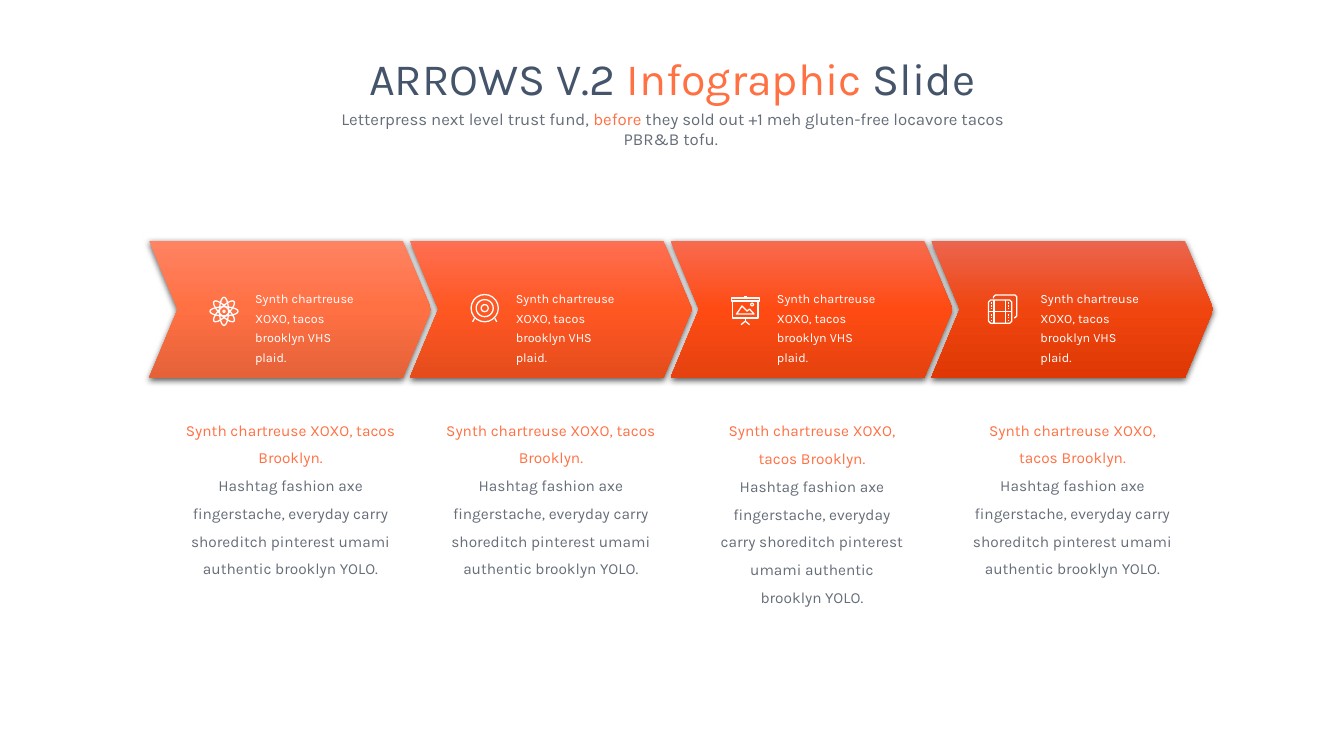
from math import cos, pi, radians, sin

from lxml import etree
from pptx import Presentation
from pptx.dml.color import RGBColor
from pptx.enum.shapes import MSO_SHAPE
from pptx.enum.text import MSO_ANCHOR, MSO_AUTO_SIZE, PP_ALIGN
from pptx.oxml import parse_xml
from pptx.oxml.ns import nsdecls, qn
from pptx.util import Cm, Pt

CHEVRON = MSO_SHAPE.CHEVRON
LEFT, CENTER = PP_ALIGN.LEFT, PP_ALIGN.CENTER
TOP, MIDDLE = MSO_ANCHOR.TOP, MSO_ANCHOR.MIDDLE
NO_AUTOSIZE = MSO_AUTO_SIZE.NONE

NAVY = RGBColor(0x44, 0x54, 0x6A)
ORANGE = RGBColor(0xFF, 0x70, 0x43)
GRAY = RGBColor(0x65, 0x6D, 0x78)
WHITE = RGBColor(0xFF, 0xFF, 0xFF)

TITLE = [[("ARROWS V.2 ", NAVY), ("Infographic ", ORANGE), ("Slide", NAVY)]]
SUBTITLE = [[
    ("Letterpress next level trust fund, ", GRAY),
    ("before", ORANGE),
    (" they sold out +1 meh gluten-free locavore tacos PBR&B tofu. ", GRAY),
]]
ARROW_TEXT = [[("Synth chartreuse XOXO, tacos brooklyn VHS plaid.", WHITE)]]
DETAILS = [
    [("Synth chartreuse XOXO, tacos Brooklyn.", ORANGE)],
    [("Hashtag fashion axe fingerstache, everyday carry shoreditch "
      "pinterest umami authentic brooklyn YOLO.", GRAY)],
]

ATOM = {
    "ellipses": [(14, 14, 14, 4.5, angle) for angle in (0, 45, 90, 135)]
    + [(14, 14, 1, 1, 0)],
    "outlines": [],
    "lines": [],
}
TARGET = {
    "ellipses": [(14, 14, radius, radius, 0) for radius in (13.5, 8.5, 3.5)],
    "outlines": [],
    "lines": [[(4, 24), (2, 27.5)], [(24, 24), (26, 27.5)]],
}
BOARD = {
    "ellipses": [(21, 8, 1.3, 1.3, 0)],
    "outlines": [
        [(0.5, 1.5), (28, 1.5), (28, 4.5), (0.5, 4.5)],
        [(1.75, 4.5), (26.75, 4.5), (26.75, 21.5), (1.75, 21.5)],
        [(5.5, 17.5), (11, 9.5), (16, 14.5), (18.5, 12.5), (23, 17.5)],
    ],
    "lines": [[(14.25, 21.5), (14.25, 24.5)], [(10, 28), (14.25, 24.5), (18.5, 28)],
              [(13, 0.5), (15.5, 0.5)]],
}
FILM = {
    "ellipses": [],
    "outlines": [[(2.5, 5.5), (21.5, 5.5), (23.5, 7.5), (23.5, 26.5),
                  (21.5, 28.5), (2.5, 28.5), (0.5, 26.5), (0.5, 7.5)]],
    "lines": [
        [(5.5, 4), (5.5, 2.3), (7.3, 0.5), (26.7, 0.5), (28.5, 2.3),
         (28.5, 21.2), (26.7, 23), (26, 23)],
        [(6, 5.5), (6, 28.5)], [(17.5, 5.5), (17.5, 28.5)], [(0.5, 17), (23.5, 17)],
    ] + [[(left, top), (left + 1.2, top)]
         for left in (2.8, 20) for top in (8.6, 11.4, 14.2, 20.3, 23.1, 25.9)],
}

STEPS = [
    {"gradient": ("FF8363", "FF7043", "E56239"), "icon": ATOM, "icon_at": (5.29, 7.49),
     "text_left": 6.18, "detail": (4.38, 10.24, 5.89)},
    {"gradient": ("FF6F52", "FF5722", "E54C1C"), "icon": TARGET, "icon_at": (11.86, 7.41),
     "text_left": 12.75, "detail": (10.94, 10.24, 5.89)},
    {"gradient": ("F86A4F", "FF4B13", "E5420F"), "icon": BOARD, "icon_at": (18.42, 7.47),
     "text_left": 19.33, "detail": (17.86, 10.26, 5.21)},
    {"gradient": ("EB654E", "F0450F", "DF3804"), "icon": FILM, "icon_at": (24.9, 7.42),
     "text_left": 25.97, "detail": (24.26, 10.24, 5.54)},
]

ARROW_LEFT, ARROW_TOP, ARROW_WIDTH, ARROW_HEIGHT = 3.76, 6.07, 7.11, 3.45
ARROW_PITCH = 6.57
ARROW_NOTCH = 0.72
ICON_UNIT = 0.0254
ELLIPSE_POINTS = 20
FRAME = {
    "word_wrap": True, "auto_size": NO_AUTOSIZE,
    "margin_left": Cm(0.25), "margin_right": Cm(0.25),
    "margin_top": Cm(0.13), "margin_bottom": Cm(0.13),
}


def set_all(target, values):
    """Set every named attribute of the target."""
    for name, value in values.items():
        setattr(target, name, value)


def write(shape, paragraphs, size, align, spacing=1.0, anchor=TOP):
    """Fill a shape with paragraphs of coloured runs."""
    frame = shape.text_frame
    set_all(frame, {**FRAME, "vertical_anchor": anchor})
    for index, runs in enumerate(paragraphs):
        paragraph = frame.add_paragraph() if index else frame.paragraphs[0]
        set_all(paragraph, {"alignment": align, "line_spacing": spacing,
                            "space_before": Pt(0), "space_after": Pt(0)})
        for text, color in runs:
            run = paragraph.add_run()
            run.text = text
            set_all(run.font, {"name": "Karla", "size": Pt(size), "bold": False})
            run.font.color.rgb = color


def add_text(shapes, box, *content):
    """Add a text box with formatted content."""
    write(shapes.add_textbox(*map(Cm, box)), *content)


def add_arrow(shapes, left, colors):
    """Add a chevron with a vertical gradient and a soft shadow."""
    arrow = shapes.add_shape(
        CHEVRON, Cm(left), Cm(ARROW_TOP), Cm(ARROW_WIDTH), Cm(ARROW_HEIGHT))
    arrow.adjustments[0] = ARROW_NOTCH / ARROW_HEIGHT
    arrow.line.fill.background()
    arrow.fill.gradient()
    arrow.fill.gradient_angle = 270
    stops = arrow.element.spPr.find(".//" + qn("a:gsLst"))
    for stop in list(stops):
        stops.remove(stop)
    for position, color in zip((0, 50000, 100000), colors):
        stop = etree.SubElement(stops, qn("a:gs"), pos=str(position))
        etree.SubElement(stop, qn("a:srgbClr"), val=color)
    arrow.shadow.inherit = False
    effects = arrow.element.spPr.find(qn("a:effectLst"))
    effects.append(parse_xml(
        f'<a:outerShdw {nsdecls("a")} blurRad="57150" dist="19050" dir="5400000" '
        'algn="ctr" rotWithShape="0"><a:srgbClr val="000000">'
        '<a:alpha val="63000"/></a:srgbClr></a:outerShdw>'))


def ellipse_points(center_x, center_y, radius_x, radius_y, angle):
    """Return points around a turned ellipse."""
    turn = radians(angle)
    points = []
    for step in range(ELLIPSE_POINTS):
        x = radius_x * cos(2 * pi * step / ELLIPSE_POINTS)
        y = radius_y * sin(2 * pi * step / ELLIPSE_POINTS)
        points.append((center_x + x * cos(turn) - y * sin(turn),
                       center_y + x * sin(turn) + y * cos(turn)))
    return points


def add_icon(shapes, icon, left, top):
    """Draw one white line icon as a single freeform."""
    contours = [(ellipse_points(*ellipse), True) for ellipse in icon["ellipses"]]
    contours += [(points, True) for points in icon["outlines"]]
    contours += [(points, False) for points in icon["lines"]]
    builder = None
    for points, closed in contours:
        corners = [(Cm(left + x * ICON_UNIT), Cm(top + y * ICON_UNIT)) for x, y in points]
        if builder is None:
            builder = shapes.build_freeform(*corners[0])
        else:
            builder.move_to(*corners[0])
        builder.add_line_segments(corners[1:], close=closed)
    drawing = builder.convert_to_shape()
    drawing.fill.background()
    drawing.shadow.inherit = False
    drawing.line.color.rgb = WHITE
    drawing.line.width = Pt(0.9)


def main():
    """Build the arrows slide and save it."""
    presentation = Presentation()
    set_all(presentation, {"slide_width": Cm(33.87), "slide_height": Cm(19.05)})
    slide = presentation.slides.add_slide(presentation.slide_layouts[5])
    title = slide.shapes.title
    set_all(title, {"left": Cm(6.45), "top": Cm(1.13),
                    "width": Cm(20.98), "height": Cm(1.63)})
    write(title, TITLE, 32, CENTER, 1.0, MIDDLE)
    add_text(slide.shapes, (8.13, 2.61, 17.65, 0.76), SUBTITLE, 12, CENTER)

    for index, step in enumerate(STEPS):
        add_arrow(slide.shapes, ARROW_LEFT + index * ARROW_PITCH, step["gradient"])
    for step in STEPS:
        left, top, width = step["detail"]
        add_text(slide.shapes, (left, top, width, 4.42), DETAILS, 11, CENTER, 1.5)
    for step in STEPS:
        label = slide.shapes.add_group_shape().shapes
        add_text(label, (step["text_left"], 7.09, 3.18, 1.75), ARROW_TEXT, 9, LEFT, 1.3)
        add_icon(label, step["icon"], *step["icon_at"])
    presentation.save("out.pptx")


if __name__ == "__main__":
    main()
